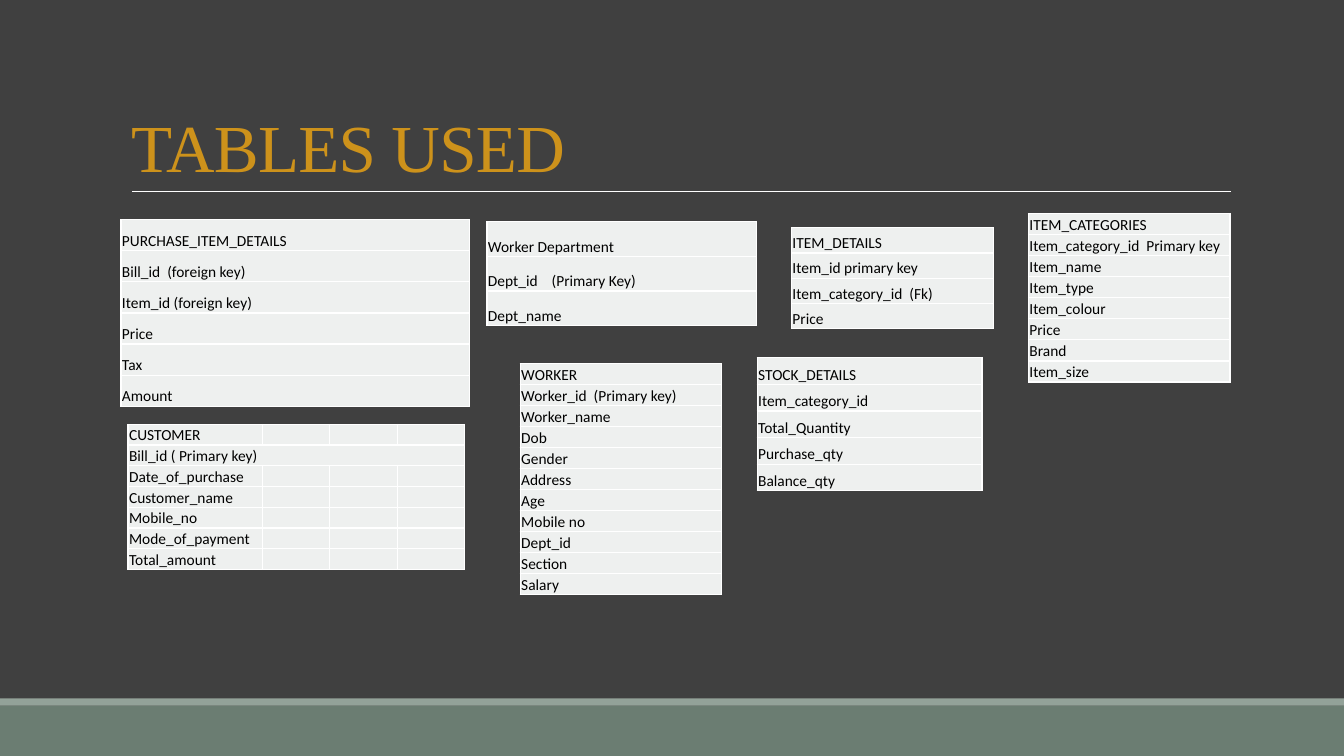
from lxml.etree import SubElement
from pptx import Presentation
from pptx.dml.color import RGBColor
from pptx.enum.shapes import MSO_CONNECTOR, MSO_SHAPE
from pptx.enum.text import MSO_ANCHOR, PP_ALIGN
from pptx.oxml.ns import qn
from pptx.util import Inches, Pt

TABLES = [
    (1.2, 2.18, [3.46], 1.85, ["PURCHASE_ITEM_DETAILS", "Bill_id  (foreign key)",
                               "Item_id (foreign key)", "Price", "Tax", "Amount"]),
    (4.83, 2.2, [2.67], 1.03, ["Worker Department", "Dept_id    (Primary Key)", "Dept_name"]),
    (7.85, 2.26, [2], 1, ["ITEM_DETAILS", "Item_id primary key", "Item_category_id  (Fk)", "Price"]),
    (10.2, 2.12, [2], 1.67, ["ITEM_CATEGORIES", "Item_category_id  Primary key", "Item_name",
                             "Item_type", "Item_colour", "Price", "Brand", "Item_size"]),
    (7.51, 3.55, [2.23], 1.32, ["STOCK_DETAILS", "Item_category_id", "Total_Quantity",
                                "Purchase_qty", "Balance_qty"]),
    (5.16, 3.61, [2], 2.29, ["WORKER", "Worker_id  (Primary key)", "Worker_name", "Dob", "Gender",
                             "Address", "Age", "Mobile no", "Dept_id", "Section", "Salary"]),
]
CUSTOMER = (1.27, 4.21, [1.33, 0.67, 0.67, 0.67], 1.44,
            ["CUSTOMER", "Bill_id ( Primary key)", "Date_of_purchase", "Customer_name",
             "Mobile_no", "Mode_of_payment", "Total_amount"])


def set_color(color_format, value):
    """Apply a hex string to a colour format."""
    color_format.rgb = RGBColor.from_string(value)


def set_fill(fill, value):
    """Make a fill solid in a hex colour."""
    fill.solid()
    set_color(fill.fore_color, value)


def write_text(frame, text, *, size, font, color, spacing=0, line_spacing=None):
    """Write one left-aligned paragraph with its format."""
    paragraph = frame.paragraphs[0]
    paragraph.alignment = PP_ALIGN.LEFT
    if line_spacing:
        paragraph.line_spacing = line_spacing
    if not text:
        SubElement(paragraph._p, qn("a:endParaRPr"), sz=str(size * 100))
        return
    run = paragraph.add_run()
    run.text = text
    run.font.size = Pt(size)
    run.font.name = font
    set_color(run.font.color, color)
    if spacing:
        run.font._element.set("spc", str(int(spacing * 100)))


def add_title(slide, text):
    """Place and format the title placeholder."""
    title = slide.shapes.title
    title.left, title.top = Inches(1.2), Inches(0.31)
    title.width, title.height = Inches(11), Inches(1.59)
    title.text_frame.vertical_anchor = MSO_ANCHOR.BOTTOM
    write_text(title.text_frame, text, size=48, font="Times New Roman",
               color="CD921B", spacing=-0.5, line_spacing=0.85)


def add_bar(slide, top, height, color):
    """Add a full-width band without outline."""
    bar = slide.shapes.add_shape(MSO_SHAPE.RECTANGLE, 0, Inches(top), Inches(13.33), Inches(height))
    bar.shadow.inherit = False
    set_fill(bar.fill, color)
    bar.line.fill.background()


def add_rule(slide, left, right, top):
    """Add the thin white line under the title."""
    rule = slide.shapes.add_connector(MSO_CONNECTOR.STRAIGHT, Inches(left), Inches(top),
                                      Inches(right), Inches(top))
    rule.line.width = Pt(0.5)
    set_color(rule.line.color, "FFFFFF")
    SubElement(rule._element.spPr, qn("a:effectLst"))


def format_cell(cell, text):
    """Give a cell its borders, fill, margins and text."""
    properties = cell._tc.get_or_add_tcPr()
    for side in ("L", "R", "T", "B"):
        border = SubElement(properties, qn(f"a:ln{side}"), w=str(Pt(1)))
        SubElement(SubElement(border, qn("a:solidFill")), qn("a:srgbClr"), val="FFFFFF")
    set_fill(cell.fill, "EEF0EF")
    cell.margin_left = cell.margin_right = cell.margin_top = Inches(0.01)
    cell.margin_bottom = 0
    cell.vertical_anchor = MSO_ANCHOR.BOTTOM
    write_text(cell.text_frame, text, size=11, font="Calibri", color="000000")


def add_entity(slide, left, top, widths, height, fields):
    """Add one database table with its fields in the first column."""
    table = slide.shapes.add_table(len(fields), len(widths), Inches(left), Inches(top),
                                   Inches(sum(widths)), Inches(height)).table
    table.first_row = table.horz_banding = False
    for column, width in zip(table.columns, widths):
        column.width = Inches(width)
    for row, field in zip(table.rows, fields):
        row.height = Inches(height / len(fields))
        for index, cell in enumerate(row.cells):
            format_cell(cell, field if index == 0 else "")
    return table


def main():
    """Build the slide and save it."""
    presentation = Presentation()
    presentation.slide_width, presentation.slide_height = Inches(13.33), Inches(7.5)
    slide = presentation.slides.add_slide(presentation.slide_layouts[5])
    set_fill(slide.background.fill, "404040")
    add_bar(slide, 7, 0.5, "6B7D72")
    add_bar(slide, 6.93, 0.07, "93A299")
    add_rule(slide, 1.31, 12.21, 1.9)
    add_title(slide, "TABLES USED")
    for entity in TABLES:
        add_entity(slide, *entity)
    customer = add_entity(slide, *CUSTOMER)
    customer.cell(1, 0).merge(customer.cell(1, 3))
    presentation.save("out.pptx")


if __name__ == "__main__":
    main()
